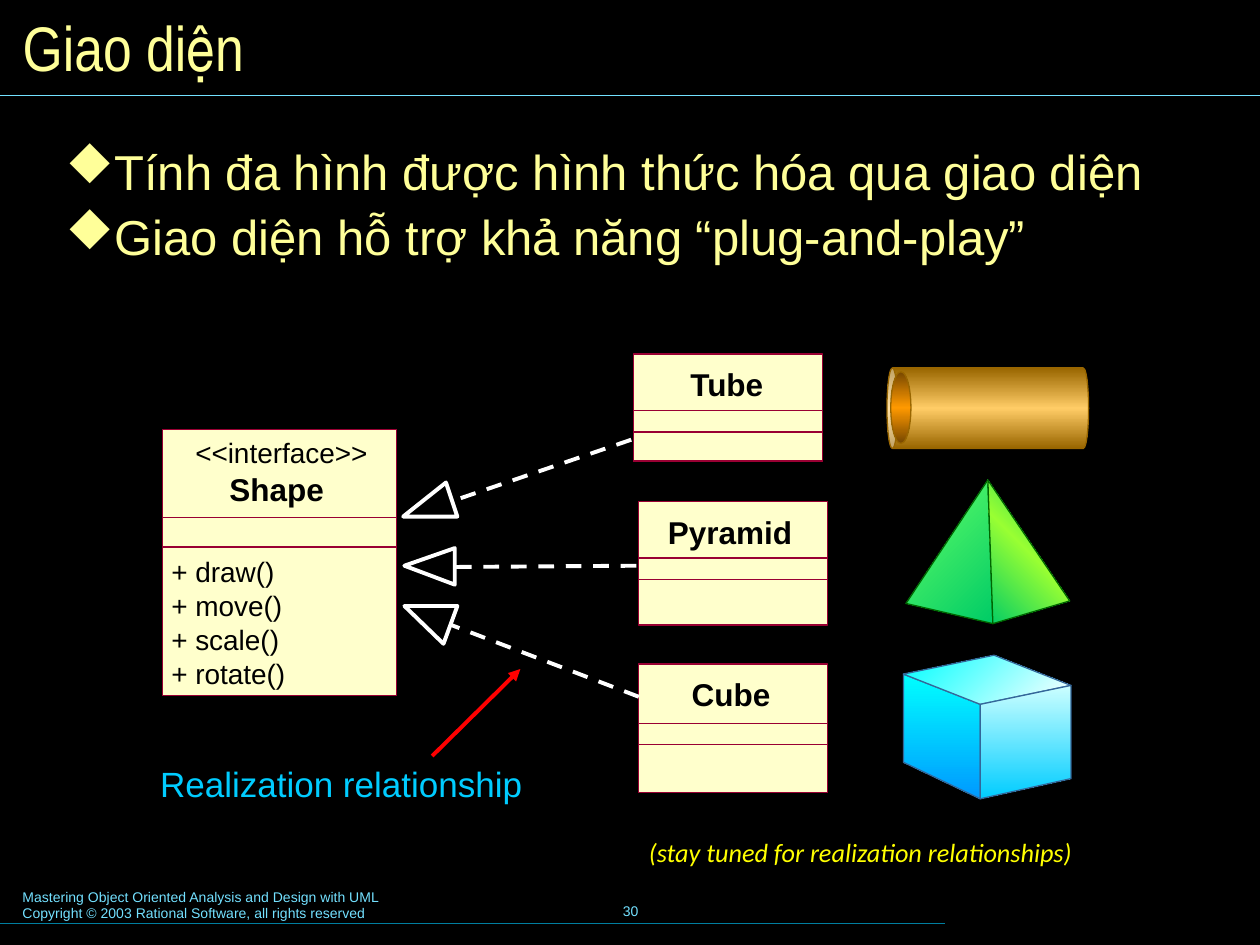
from lxml import etree
from pptx import Presentation
from pptx.dml.color import RGBColor
from pptx.enum import dml, shapes as kinds, text
from pptx.oxml.ns import qn
from pptx.util import Inches, Pt

BLACK = RGBColor(0x00, 0x00, 0x00)
WHITE = RGBColor(0xFF, 0xFF, 0xFF)
PALE_YELLOW = RGBColor(0xFF, 0xFF, 0x99)
YELLOW = RGBColor(0xFF, 0xFF, 0x00)
MAROON = RGBColor(0x99, 0x00, 0x33)
RED = RGBColor(0xFF, 0x00, 0x00)
SKY = RGBColor(0x00, 0xCC, 0xFF)
LIGHT_BLUE = RGBColor(0x73, 0xE1, 0xFF)
TEAL = RGBColor(0x00, 0x7E, 0x9F)
BROWN = RGBColor(0x99, 0x66, 0x00)
DARK_GREEN = RGBColor(0x00, 0x66, 0x00)
STEEL = RGBColor(0x33, 0x66, 0x99)

prs = Presentation()
prs.slide_width, prs.slide_height = Inches(10), Inches(7.5)
slide = prs.slides.add_slide(prs.slide_layouts[5])
slide.background.fill.solid()
slide.background.fill.fore_color.rgb = BLACK
canvas = slide.shapes


def write(box, lines, size, color, font="Arial", bold=False, italic=False, inset=(0, 0), wrap=True):
    frame = box.text_frame
    frame.word_wrap = wrap
    frame.auto_size = text.MSO_AUTO_SIZE.NONE
    frame.margin_left = frame.margin_right = Inches(inset[0])
    frame.margin_top = frame.margin_bottom = Inches(inset[1])
    for i, line in enumerate(lines):
        paragraph = frame.add_paragraph() if i else frame.paragraphs[0]
        paragraph.alignment = text.PP_ALIGN.LEFT
        run = paragraph.add_run()
        run.text = line
        run.font.name, run.font.size = font, Pt(size)
        run.font.bold, run.font.italic = bold, italic
        run.font.color.rgb = color
    return frame


def style(shape, line, width, colors=(), angle=0):
    shape.shadow.inherit = False
    shape.line.color.rgb, shape.line.width = line, Pt(width)
    if not colors:
        shape.fill.background()
    elif len(colors) == 1:
        shape.fill.solid()
        shape.fill.fore_color.rgb = RGBColor.from_string(colors[0])
    else:
        shape.fill.gradient()
        shape.fill.gradient_angle = -angle % 360
        stops = shape._element.spPr.find(qn("a:gradFill")).find(qn("a:gsLst"))
        for stop in list(stops):
            stops.remove(stop)
        for i, color in enumerate(colors):
            stop = etree.SubElement(stops, qn("a:gs"), pos=str(100000 * i // (len(colors) - 1)))
            etree.SubElement(stop, qn("a:srgbClr"), val=color)


title = canvas.title
title.left, title.top, title.width, title.height = map(Inches, (0.08, 0.08, 9.84, 0.58))
title_frame = write(title, ["Giao diện"], 36, PALE_YELLOW, "Arial Narrow", inset=(0.1, 0.05))
title_frame.vertical_anchor = text.MSO_ANCHOR.MIDDLE

footer = canvas.add_textbox(Inches(0.08), Inches(7), Inches(5.1), Inches(0.37))
write(footer, ["Mastering Object Oriented Analysis and Design with UML",
               "Copyright © 2003 Rational Software, all rights reserved"], 8, LIGHT_BLUE, inset=(0.1, 0.05))
page_number = canvas.add_textbox(Inches(3.42), Inches(6.98), Inches(3.17), Inches(0.5))
number_frame = write(page_number, ["30"], 8, LIGHT_BLUE, inset=(0.1, 0.05))
number_frame.vertical_anchor = text.MSO_ANCHOR.MIDDLE
number_frame.paragraphs[0].alignment = text.PP_ALIGN.CENTER

points = canvas.add_textbox(Inches(0.4), Inches(1.15), Inches(9.09), Inches(3.1))
points_frame = write(points, ["Tính đa hình được hình thức hóa qua giao diện",
                              "Giao diện hỗ trợ khả năng “plug-and-play”"],
                     28, PALE_YELLOW, inset=(0.12, 0.06))
for i, point in enumerate(points_frame.paragraphs):
    point.line_spacing = 0.8
    point.space_before = Pt(10.5 if i else 0)
    properties = point._p.get_or_add_pPr()
    properties.set("marL", str(Inches(0.37)))
    properties.set("indent", str(-Inches(0.37)))
    bullet_color = etree.SubElement(properties, qn("a:buClr"))
    etree.SubElement(bullet_color, qn("a:srgbClr"), val="FFFF99")
    etree.SubElement(properties, qn("a:buFont"), typeface="Wingdings", pitchFamily="2", charset="2")
    etree.SubElement(properties, qn("a:buChar"), char="u")

relationship = canvas.add_textbox(Inches(1.15), Inches(5.99), Inches(3.42), Inches(0.45))
write(relationship, ["Realization relationship"], 20, SKY, inset=(0.12, 0.06))
remark = canvas.add_textbox(Inches(5.03), Inches(6.58), Inches(3.92), Inches(0.62))
write(remark, ["(stay tuned for realization relationships)"], 15, YELLOW, "Calibri",
      italic=True, inset=(0.12, 0.06))

for left, width, tops, bottom in [
    (1.29, 1.86, (3.41, 4.11, 4.34), 5.52),
    (5.03, 1.5, (2.81, 3.26, 3.43), 3.66),
    (5.07, 1.5, (3.98, 4.43, 4.6), 4.96),
    (5.07, 1.5, (5.27, 5.74, 5.91), 6.29),
]:
    for top in tops:
        compartment = canvas.add_shape(kinds.MSO_SHAPE.RECTANGLE, Inches(left), Inches(top),
                                       Inches(width), Inches(bottom - top))
        style(compartment, MAROON, 0, ["FFFFCC"] if top == tops[0] else [])

for label, left, top, width, bold in [
    ("<<interface>>", 1.55, 3.46, 1.37, False),
    ("Shape", 1.82, 3.73, 0.75, True),
    ("+ draw()", 1.36, 4.4, 0.82, False),
    ("+ move()", 1.36, 4.67, 0.88, False),
    ("+ scale()", 1.36, 4.94, 0.86, False),
    ("+ rotate()", 1.36, 5.21, 0.91, False),
    ("Tube", 5.48, 2.9, 0.6, True),
    ("Pyramid", 5.3, 4.07, 0.99, True),
    ("Cube", 5.49, 5.36, 0.63, True),
]:
    member = canvas.add_textbox(Inches(left), Inches(top), Inches(width), Inches(0.3 if bold else 0.27))
    write(member, [label], 18 if bold else 16, BLACK, bold=bold, wrap=False)

tube = canvas.add_shape(kinds.MSO_SHAPE.CAN, Inches(7.52), Inches(2.44), Inches(0.64), Inches(1.6))
tube.adjustments[0] = 0.134
tube.rotation = 270
style(tube, BROWN, 0.75, ["996600", "FFCC66", "996600"], 0)
opening = canvas.add_shape(kinds.MSO_SHAPE.OVAL, Inches(7.07), Inches(2.95), Inches(0.16), Inches(0.57))
style(opening, BROWN, 0.75, ["764700", "FF9900", "764700"], 90)

for corners, line, width, colors, angle in [
    ([(7.88, 4.95), (7.84, 3.81), (7.19, 4.79)], DARK_GREEN, 0.75, ["00CC66", "66FF66"], 225),
    ([(7.88, 4.95), (7.84, 3.81), (8.49, 4.77)], DARK_GREEN, 0.75, ["00CC66", "99FF33", "00CC66"], 135),
    ([(7.17, 5.35), (7.17, 6.05), (7.78, 6.34), (7.78, 5.59)], STEEL, 0.75, ["00FFFF", "0099FF"], 90),
    ([(7.17, 5.35), (7.89, 5.2), (8.5, 5.44), (7.78, 5.59)], STEEL, 0.75, ["00FFFF", "FFFFFF"], 45),
    ([(8.5, 5.44), (8.5, 6.18), (7.78, 6.34), (7.78, 5.59)], STEEL, 0.75, ["CCFFFF", "00CCFF"], 90),
    ([(3.2, 4.1), (3.63, 4.1), (3.54, 3.83)], WHITE, 2.25, [], 0),
    ([(3.21, 4.49), (3.61, 4.35), (3.61, 4.64)], WHITE, 2.25, [], 0),
    ([(3.21, 4.81), (3.63, 4.81), (3.52, 5.11)], WHITE, 2.25, [], 0),
]:
    outline = [(Inches(x), Inches(y)) for x, y in corners]
    builder = canvas.build_freeform(*outline[0])
    builder.add_line_segments(outline[1:], close=True)
    style(builder.convert_to_shape(), line, width, colors, angle)

for x1, y1, x2, y2, color, width in [
    (0, 7.33, 7.5, 7.33, TEAL, 0.75),
    (0, 0.76, 10, 0.76, LIGHT_BLUE, 0.75),
    (5.01, 3.49, 3.58, 3.98, WHITE, 2.25),
    (5.05, 4.49, 3.6, 4.5, WHITE, 2.25),
    (5.07, 5.53, 3.58, 4.96, WHITE, 2.25),
    (3.43, 6, 4.13, 5.31, RED, 2.25),
]:
    link = canvas.add_connector(kinds.MSO_CONNECTOR.STRAIGHT, Inches(x1), Inches(y1), Inches(x2), Inches(y2))
    link.line.color.rgb, link.line.width = color, Pt(width)
    if color == WHITE:
        link.line.dash_style = dml.MSO_LINE.DASH
    if color == RED:
        etree.SubElement(link.line._get_or_add_ln(), qn("a:tailEnd"), type="triangle")
    etree.SubElement(link._element.spPr, qn("a:effectLst"))

prs.save("out.pptx")
